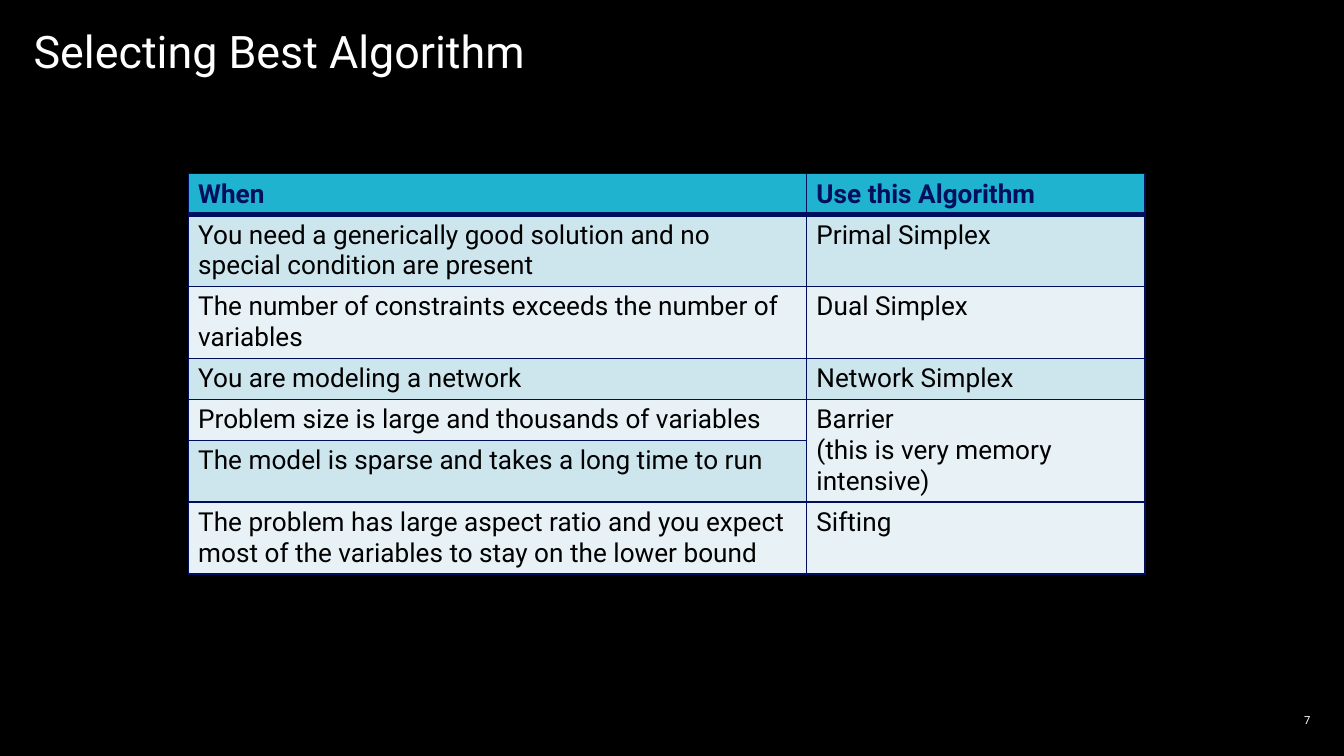
import pptx
import pptx.util
import pptx.dml.color
import pptx.enum.text
import pptx.oxml
import pptx.oxml.ns
from dataclasses import dataclass

Pt = pptx.util.Pt
RGBColor = pptx.dml.color.RGBColor


@dataclass(frozen=True)
class Theme:
    font: str = "Roboto"
    background: str = "000000"
    light_text: str = "FFFFFF"
    dark_text: str = "000000"
    navy: str = "000E5E"
    header_fill: str = "1FB3CF"
    band_fills: tuple = ("E8F2F6", "CDE5ED")
    title_size: int = 24
    table_size: int = 14
    number_size: int = 6


theme = Theme()


def write_text(frame, text, *, size, color, bold=False, align=None, line_spacing=None,
               margins=(0, 0), anchor=pptx.enum.text.MSO_ANCHOR.TOP):
    frame.word_wrap = True
    frame.vertical_anchor = anchor
    frame.margin_left = frame.margin_right = Pt(margins[0])
    frame.margin_top = frame.margin_bottom = Pt(margins[1])
    frame.text = text
    for paragraph in frame.paragraphs:
        paragraph.alignment = align
        paragraph.line_spacing = line_spacing
        for run in paragraph.runs:
            run.font.name = theme.font
            run.font.size = Pt(size)
            run.font.bold = bold
            run.font.color.rgb = RGBColor.from_string(color)


def set_borders(cell, top, bottom):
    properties = cell._tc.get_or_add_tcPr()
    widths = {"lnL": 1, "lnR": 1, "lnT": top, "lnB": bottom}
    for position, (side, width) in enumerate(widths.items()):
        line = pptx.oxml.parse_xml(
            f'<a:{side} {pptx.oxml.ns.nsdecls("a")} w="{Pt(width)}"><a:solidFill>'
            f'<a:srgbClr val="{theme.navy}"/></a:solidFill></a:{side}>'
        )
        properties.insert(position, line)


presentation = pptx.Presentation()
presentation.slide_width = Pt(720)
presentation.slide_height = Pt(405)
slide = presentation.slides.add_slide(presentation.slide_layouts[5])
slide.background.fill.solid()
slide.background.fill.fore_color.rgb = RGBColor.from_string(theme.background)

title = slide.shapes.title
title.left, title.top, title.width, title.height = Pt(18), Pt(16), Pt(324), Pt(353.5)
write_text(title.text_frame, "Selecting Best Algorithm", size=theme.title_size,
           color=theme.light_text, align=pptx.enum.text.PP_ALIGN.LEFT, line_spacing=0.9)

rows = [
    ("When", "Use this Algorithm"),
    ("You need a generically good solution and no special condition are present",
     "Primal Simplex"),
    ("The number of constraints exceeds the number of variables", "Dual Simplex"),
    ("You are modeling a network", "Network Simplex"),
    ("Problem size is large and thousands of variables",
     "Barrier\n(this is very memory intensive)"),
    ("The model is sparse and takes a long time to run", ""),
    ("The problem has large aspect ratio and you expect most of the variables "
     "to stay on the lower bound", "Sifting"),
]
column_widths = [331.2, 181.4]
row_heights = [21.9, 38.4, 38.4, 21.9, 21.9, 33.1, 38.4]

table_shape = slide.shapes.add_table(
    len(rows), len(column_widths), Pt(100.9), Pt(93),
    Pt(sum(column_widths)), Pt(sum(row_heights)))
table = table_shape.table
for column, width in zip(table.columns, column_widths):
    column.width = Pt(width)
for row, height in zip(table.rows, row_heights):
    row.height = Pt(height)

table.cell(4, 1).merge(table.cell(5, 1))
for row_index, texts in enumerate(rows):
    header = row_index == 0
    fill = theme.header_fill if header else theme.band_fills[row_index % 2]
    for column_index, text in enumerate(texts):
        cell = table.cell(row_index, column_index)
        cell.fill.solid()
        cell.fill.fore_color.rgb = RGBColor.from_string(fill)
        set_borders(cell, top=3 if row_index == 1 else 1, bottom=3 if header else 1)
        cell.margin_left = cell.margin_right = Pt(5.3)
        cell.margin_top = cell.margin_bottom = Pt(2.7)
        if not cell.is_spanned:
            write_text(cell.text_frame, text, size=theme.table_size, bold=header,
                       color=theme.navy if header else theme.dark_text,
                       margins=(5.3, 2.7))
            for name in list(cell.text_frame._txBody.bodyPr.attrib):
                del cell.text_frame._txBody.bodyPr.attrib[name]

number = slide.shapes.add_textbox(Pt(540), Pt(380), Pt(162), Pt(11))
write_text(number.text_frame, "7", size=theme.number_size, color=theme.light_text,
           align=pptx.enum.text.PP_ALIGN.RIGHT, anchor=pptx.enum.text.MSO_ANCHOR.MIDDLE)

presentation.save("out.pptx")
